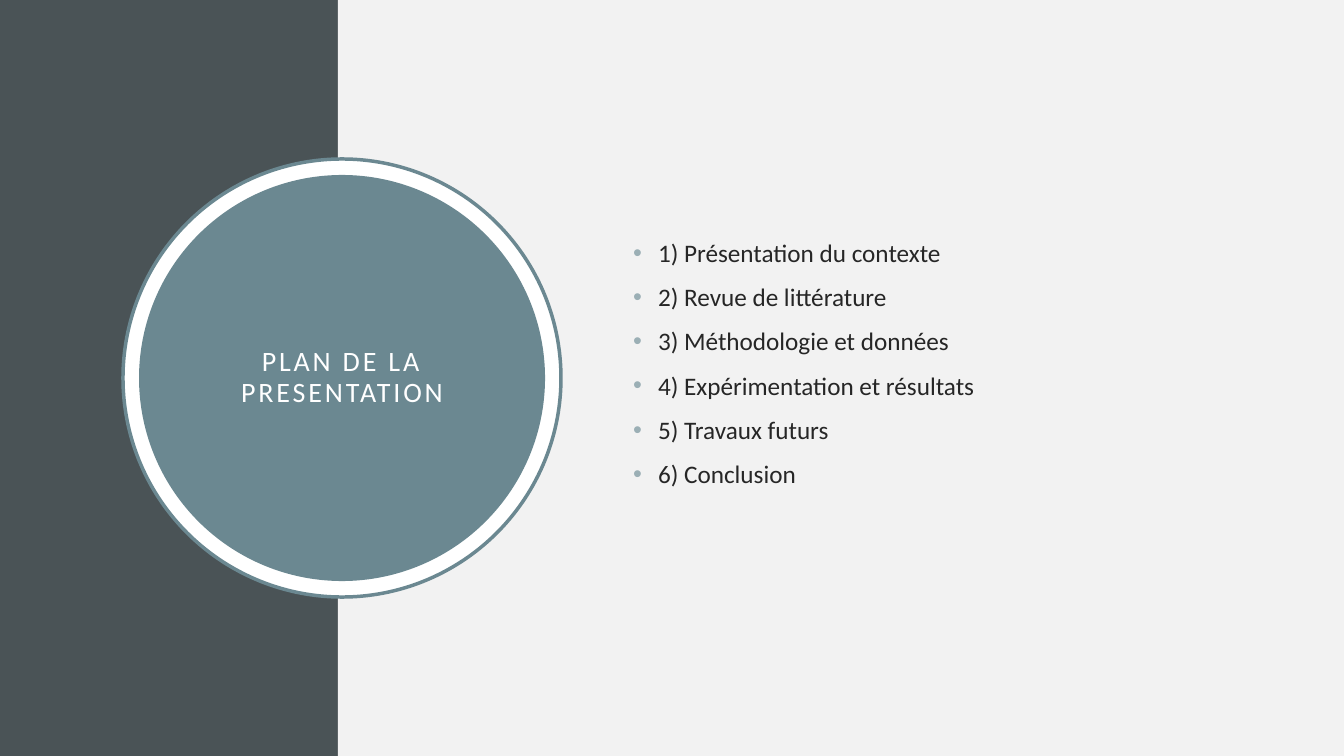
from lxml import etree
from pptx import Presentation
from pptx.dml.color import RGBColor
from pptx.enum.shapes import MSO_SHAPE
from pptx.enum.text import MSO_ANCHOR, MSO_AUTO_SIZE, PP_ALIGN
from pptx.oxml.ns import qn
from pptx.util import Pt

PX = 914400 / 100.8
SLATE = RGBColor(0x4A, 0x53, 0x56)
PALE = RGBColor(0xF2, 0xF2, 0xF2)
TEAL = RGBColor(0x6B, 0x88, 0x91)
WHITE = RGBColor(0xFF, 0xFF, 0xFF)
INK = RGBColor(0x26, 0x26, 0x26)
BULLET = RGBColor(0x9B, 0xAF, 0xB5)


def px(value):
    return round(value * PX)


def format_text(item, settings):
    for name, value in settings.items():
        setattr(item, name, value)


prs = Presentation()
prs.slide_width, prs.slide_height = px(1344), px(756)
slide = prs.slides.add_slide(prs.slide_layouts[1])
slide.background.fill.solid()
slide.background.fill.fore_color.rgb = PALE
heading, agenda = slide.placeholders

# Side band, pale panel, ring and disc behind the title
disc_box = (139, 175, 406, 406)
for kind, box, color, outline in [
    (MSO_SHAPE.RECTANGLE, (0, 0, 338, 756), SLATE, None),
    (MSO_SHAPE.RECTANGLE, (338, 0, 1006, 756), PALE, None),
    (MSO_SHAPE.OVAL, (123, 159, 438, 438), WHITE, TEAL),
    (MSO_SHAPE.OVAL, disc_box, TEAL, None),
]:
    backdrop = slide.shapes.add_shape(kind, *map(px, box))
    backdrop.shadow.inherit = False
    backdrop.fill.solid()
    backdrop.fill.fore_color.rgb = color
    if outline:
        backdrop.line.color.rgb = outline
        backdrop.line.width = Pt(2.5)
    else:
        backdrop.line.fill.background()

# Bring the placeholders in front of the backdrops
for placeholder, box in [(heading, disc_box), (agenda, (617, 154, 587, 447))]:
    slide.shapes._spTree.append(placeholder._element)
    placeholder.left, placeholder.top, placeholder.width, placeholder.height = map(px, box)

# Title on the disc
heading.text = "PLAN DE LA PRESENTATION"
format_text(heading.text_frame, {
    "word_wrap": True, "auto_size": MSO_AUTO_SIZE.NONE,
    "vertical_anchor": MSO_ANCHOR.MIDDLE,
    "margin_left": px(80), "margin_right": px(80),
    "margin_top": px(80), "margin_bottom": px(80),
})
title_line = heading.text_frame.paragraphs[0]
format_text(title_line, {"alignment": PP_ALIGN.CENTER, "line_spacing": 0.9})
title_run = title_line.runs[0]
format_text(title_run.font, {"name": "Calibri", "size": Pt(20)})
title_run.font.color.rgb = WHITE
title_run.font._element.set("spc", "200")

# Agenda list
agenda.text = "\n".join([
    "1) Présentation du contexte",
    "2) Revue de littérature",
    "3) Méthodologie et données",
    "4) Expérimentation et résultats",
    "5) Travaux futurs",
    "6) Conclusion",
])
format_text(agenda.text_frame, {
    "word_wrap": True, "auto_size": MSO_AUTO_SIZE.NONE,
    "vertical_anchor": MSO_ANCHOR.MIDDLE, "margin_bottom": px(34),
})
for entry in agenda.text_frame.paragraphs:
    format_text(entry, {"line_spacing": 1.0, "space_before": Pt(10), "space_after": Pt(0)})
    format_text(entry.runs[0].font, {"name": "Calibri", "size": Pt(18)})
    entry.runs[0].font.color.rgb = INK
    pPr = entry._p.get_or_add_pPr()
    pPr.set("marL", str(px(31)))
    pPr.set("indent", str(px(-25)))
    bullet_color = etree.SubElement(pPr, qn("a:buClr"))
    etree.SubElement(bullet_color, qn("a:srgbClr"), val=str(BULLET))
    etree.SubElement(pPr, qn("a:buFont"), typeface="Arial")
    etree.SubElement(pPr, qn("a:buChar"), char="•")

prs.save("out.pptx")
